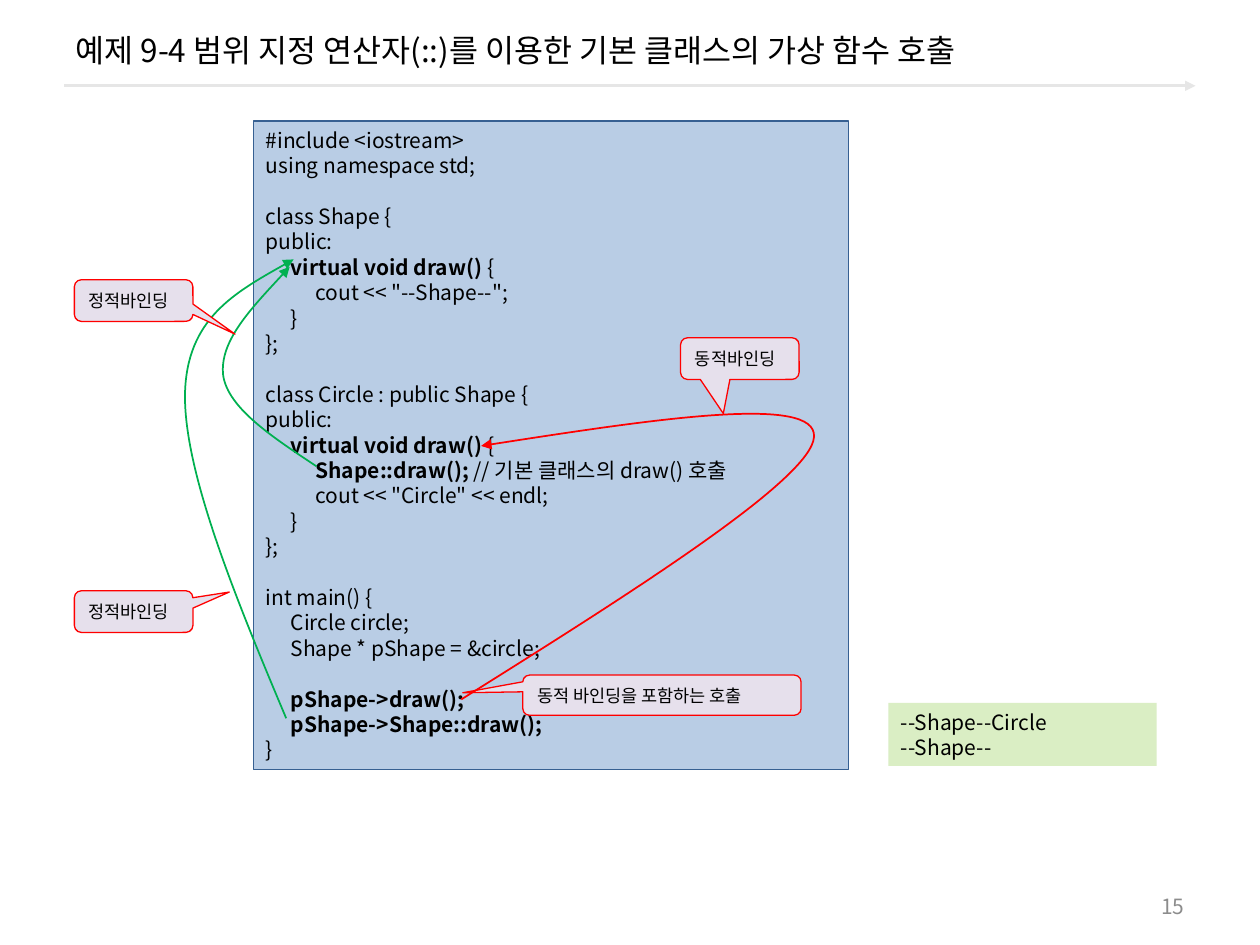
from lxml.etree import SubElement
from pptx import Presentation
from pptx.dml.color import RGBColor
from pptx.enum.shapes import MSO_CONNECTOR, MSO_SHAPE
from pptx.enum.text import MSO_ANCHOR, PP_ALIGN
from pptx.oxml.ns import qn
from pptx.util import Cm, Pt

FONT = "Noto Sans CJK KR"
PITCH = Pt(14.5)
TAB = 0.5
COLORS = {
    "ink": "000000", "gray": "8C8C8C", "rule": "E6E6E6",
    "code": "B9CDE5", "edge": "376092", "out": "DAEEC4",
    "note": "E6E0EC", "red": "FF0000", "green": "00B050",
}
CODE = """#include <iostream>
using namespace std;

class Shape {
public:
\t**virtual void draw() **{
\t\tcout << "--Shape--";
\t}
};

class Circle : public Shape {
public:
\t**virtual void draw() **{
\t\t**Shape::draw(); **// 기본 클래스의 draw() 호출
\t\tcout << "Circle" << endl;
\t}
};

int main() {
\tCircle circle;
\tShape * pShape = &circle;

\t**pShape->draw();**
\t**pShape->Shape::draw();**
}"""
NOTES = [
    ((8.61, 4.37, 2.39, 0.84), "동적바인딩", (-0.139, 1.319)),
    ((5.43, 11.17, 5.61, 0.81), "동적 바인딩을 포함하는 호출", (-0.716, -0.06)),
    ((-3.61, 9.47, 2.39, 0.84), "정적바인딩", (0.807, -0.468)),
    ((-3.61, 3.2, 2.39, 0.84), "정적바인딩", (0.855, 0.805)),
]
INNER = [(1.27, 6.96), (0.38, 6.37), (-0.51, 5.79), (-0.61, 5.13),
         (-0.69, 4.44), (0.02, 3.71), (0.73, 2.94)]
OUTER = [(0.66, 12.04), (-0.39, 9.55), (-1.4, 7.06), (-1.38, 5.51),
         (-1.35, 3.99), (-0.28, 3.4), (0.81, 2.79)]
DYNAMIC = [(4.19, 11.66), (7.72, 9.45), (11.25, 7.21), (11.3, 6.37),
           (11.37, 5.51), (8, 6.02), (4.59, 6.55)]


def color(name):
    return RGBColor.from_string(COLORS[name])


def style(para, size, ink="ink", align=PP_ALIGN.LEFT):
    para.alignment = align
    font = para.font
    font.size = Pt(size)
    font.color.rgb = color(ink)
    font.name = FONT
    base = para._p.pPr.find(qn("a:defRPr"))
    SubElement(base, qn("a:ea")).set("typeface", FONT)


def stroke(line, ink, width, arrow=False):
    line.color.rgb = color(ink)
    line.width = Pt(width)
    if arrow:
        SubElement(line._get_or_add_ln(), qn("a:tailEnd")).set("type", "triangle")


def panel(slide, kind, box, fill, edge=None):
    shape = slide.shapes.add_shape(kind, *map(Cm, box))
    shape.shadow.inherit = False
    shape.fill.solid()
    shape.fill.fore_color.rgb = color(fill)
    if edge:
        stroke(shape.line, edge, 0.75)
    else:
        shape.line.fill.background()
    shape.text_frame.word_wrap = True
    return shape


def lines(frame, text):
    frame.vertical_anchor = MSO_ANCHOR.TOP
    para, gap = frame.paragraphs[0], False
    for num, row in enumerate(text.split("\n")):
        if not row:
            gap = True
            continue
        if num:
            para = frame.add_paragraph()
        para.line_spacing = PITCH
        if gap:
            para.space_before = PITCH
            gap = False
        stops = SubElement(para._p.get_or_add_pPr(), qn("a:tabLst"))
        for stop in (1, 2):
            tab = SubElement(stops, qn("a:tab"))
            tab.set("pos", str(Cm(TAB * stop)))
            tab.set("algn", "l")
        style(para, 12)
        for part, words in enumerate(row.split("**")):
            if words:
                run = para.add_run()
                run.text = words
                if part % 2:
                    run.font.bold = True


def header(slide, x, y, w, h):
    title = slide.shapes.title
    title.left, title.top, title.width, title.height = map(Cm, (x, y, w, h))
    frame = title.text_frame
    frame.text = "예제 9-4 범위 지정 연산자(::)를 이용한 기본 클래스의 가상 함수 호출"
    frame.vertical_anchor = MSO_ANCHOR.MIDDLE
    style(frame.paragraphs[0], 18)
    level = Cm(y + h - 0.1)
    rule = slide.shapes.add_connector(
        MSO_CONNECTOR.STRAIGHT, Cm(x + 0.03), level, Cm(x + w - 0.03), level)
    stroke(rule.line, "rule", 1.5, True)
    SubElement(rule._element.spPr, qn("a:effectLst"))


def note(slide, box, text, tip):
    shape = panel(slide, MSO_SHAPE.ROUNDED_RECTANGULAR_CALLOUT, box, "note", "red")
    shape.adjustments[0], shape.adjustments[1] = tip
    frame = shape.text_frame
    frame.text = text
    frame.vertical_anchor = MSO_ANCHOR.MIDDLE
    style(frame.paragraphs[0], 10)


def curve(slide, x, y, points, ink):
    spots = [(Cm(x + px), Cm(y + py)) for px, py in points]
    build = slide.shapes.build_freeform(*spots[0])
    build.add_line_segments(spots[1:], close=False)
    shape = build.convert_to_shape()
    shape.shadow.inherit = False
    shape.fill.background()
    stroke(shape.line, ink, 1, True)
    trail = next(shape._element.iter(qn("a:path")))
    steps = trail.findall(qn("a:lnTo"))
    for start in range(0, len(steps), 3):
        bend = SubElement(trail, qn("a:cubicBezTo"))
        for step in steps[start:start + 3]:
            bend.append(step[0])
            trail.remove(step)


def listing(slide, x, y, w, h):
    shape = panel(slide, MSO_SHAPE.RECTANGLE, (x, y, w, h), "code", "edge")
    lines(shape.text_frame, CODE)
    for points in (INNER, OUTER):
        curve(slide, x, y, points, "green")
    for (dx, dy, wide, high), text, tip in NOTES:
        note(slide, (x + dx, y + dy, wide, high), text, tip)
    curve(slide, x, y, DYNAMIC, "red")


def output(slide, *box):
    shape = panel(slide, MSO_SHAPE.RECTANGLE, box, "out")
    lines(shape.text_frame, "--Shape--Circle\n--Shape--")


def footer(slide, *box):
    frame = slide.shapes.add_textbox(*map(Cm, box)).text_frame
    frame.word_wrap = True
    frame.vertical_anchor = MSO_ANCHOR.MIDDLE
    frame.text = "15"
    style(frame.paragraphs[0], 12, "gray", PP_ALIGN.RIGHT)


def main():
    deck = Presentation()
    deck.slide_width, deck.slide_height = Cm(25.4), Cm(19.05)
    slide = deck.slides.add_slide(deck.slide_layouts[5])
    header(slide, 1.27, 0.2, 22.86, 1.63)
    listing(slide, 5.11, 2.44, 11.99, 13.08)
    output(slide, 17.91, 14.17, 5.41, 1.27)
    footer(slide, 18.21, 17.86, 5.92, 0.81)
    deck.save("out.pptx")


if __name__ == "__main__":
    main()
